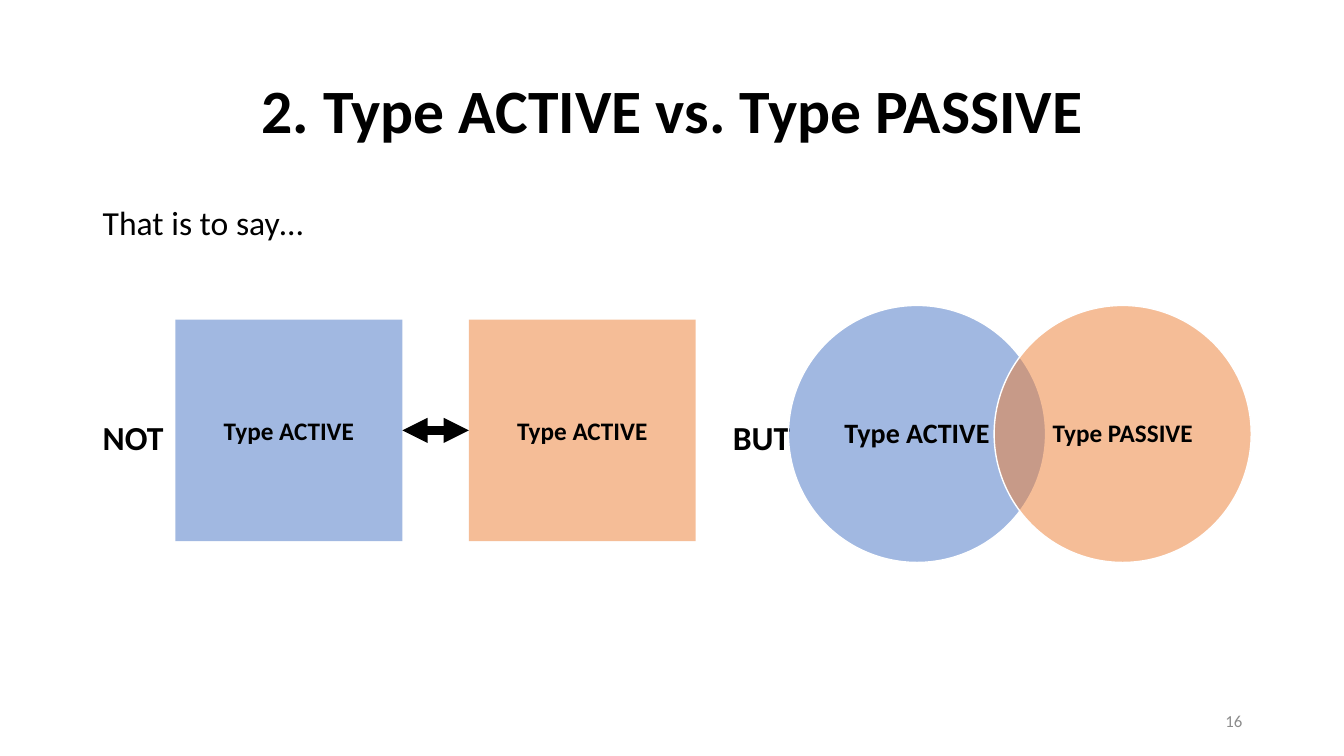
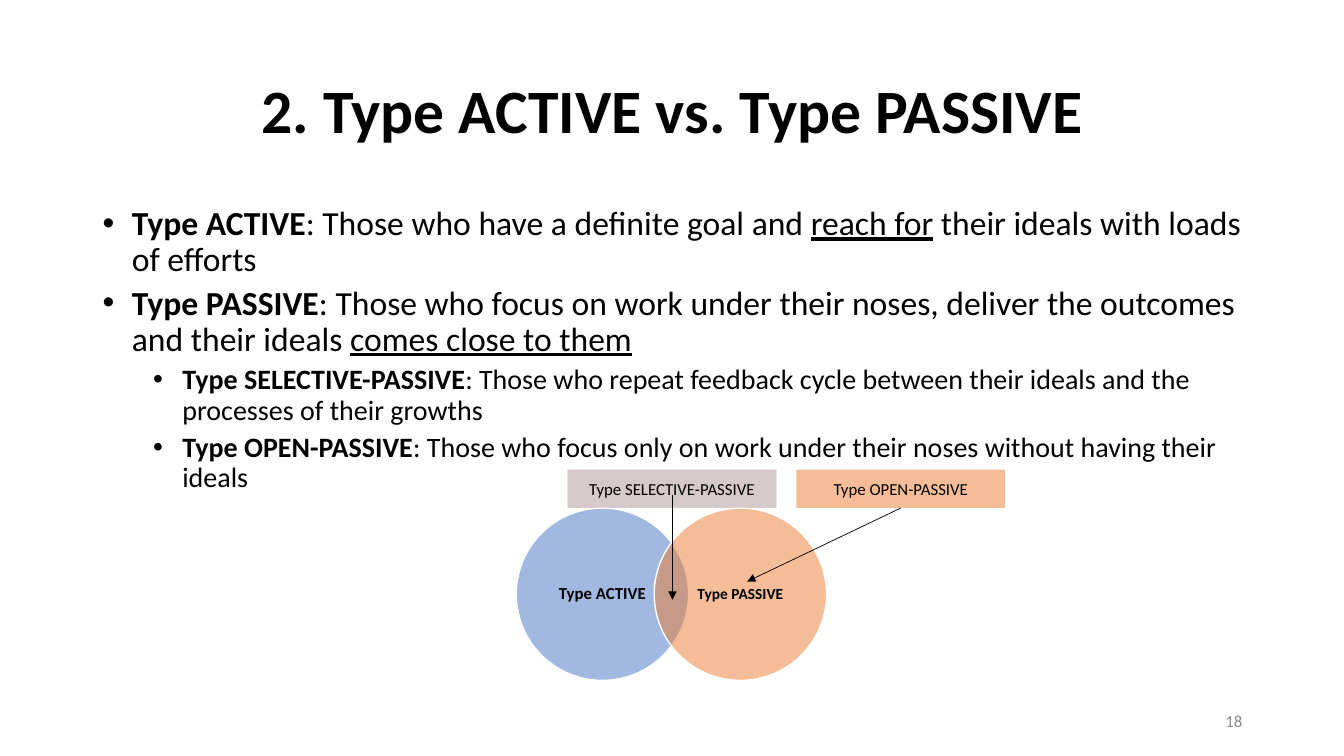
"""Build two slides that contrast the active and passive types."""
from lxml import etree
from pptx import Presentation
from pptx.dml.color import RGBColor
from pptx.enum.shapes import MSO_CONNECTOR, MSO_SHAPE
from pptx.enum.text import MSO_ANCHOR, PP_ALIGN
from pptx.oxml.ns import qn
from pptx.util import Inches, Pt

BLACK = RGBColor(0x00, 0x00, 0x00)
WHITE = RGBColor(0xFF, 0xFF, 0xFF)
GRAY = RGBColor(0x8C, 0x8C, 0x8C)
BLUE = RGBColor(0x44, 0x72, 0xC4)
ORANGE = RGBColor(0xED, 0x7D, 0x31)
LIGHT_BLUE = RGBColor(0xB4, 0xC7, 0xE7)
PEACH = RGBColor(0xF8, 0xCB, 0xAD)

FONT = "Calibri"
TITLE = "2. Type ACTIVE vs. Type PASSIVE"
RECTANGLE = MSO_SHAPE.RECTANGLE
OVAL = MSO_SHAPE.OVAL
STRAIGHT = MSO_CONNECTOR.STRAIGHT
LEFT, CENTER, RIGHT = PP_ALIGN.LEFT, PP_ALIGN.CENTER, PP_ALIGN.RIGHT
TOP, MIDDLE = MSO_ANCHOR.TOP, MSO_ANCHOR.MIDDLE
LEFT_SIDE, BOTTOM_SIDE, RIGHT_SIDE = 1, 2, 3

MARGIN = 0.92
CONTENT_WIDTH = 11.5
LINE_SPACING = 0.9
HANGING = 0.29


def write_text(paragraph, text, size=24, color=BLACK, bold=False,
               underline=False, align=LEFT, spacing=None):
    paragraph.alignment = align
    if spacing:
        paragraph.line_spacing = spacing
    run = paragraph.add_run()
    run.text = text
    run.font.name = FONT
    run.font.size = Pt(size)
    run.font.bold = bold
    run.font.underline = underline
    run.font.color.rgb = color


class Deck:
    def __init__(self):
        self.presentation = Presentation()
        self.presentation.slide_width = Inches(13.33)
        self.presentation.slide_height = Inches(7.5)
        self.slide = None

    def add_slide(self, title, number):
        layout = self.presentation.slide_layouts[6]
        self.slide = self.presentation.slides.add_slide(layout)
        self.add_text(MARGIN, 0.4, CONTENT_WIDTH, 1.45, title, anchor=MIDDLE,
                      size=44, bold=True, align=CENTER, spacing=LINE_SPACING)
        self.add_text(9.42, 6.95, 3, 0.4, number, anchor=MIDDLE,
                      size=12, color=GRAY, align=RIGHT)

    def add_box(self, left, top, width, height, anchor=TOP):
        box = self.slide.shapes.add_textbox(
            Inches(left), Inches(top), Inches(width), Inches(height))
        box.text_frame.word_wrap = True
        box.text_frame.vertical_anchor = anchor
        return box.text_frame

    def add_text(self, left, top, width, height, text, anchor=TOP, **style):
        frame = self.add_box(left, top, width, height, anchor)
        write_text(frame.paragraphs[0], text, **style)

    def add_bullets(self, left, top, width, height, items):
        frame = self.add_box(left, top, width, height)
        for index, (indent, size, runs) in enumerate(items):
            paragraph = frame.add_paragraph() if index else frame.paragraphs[0]
            paragraph.line_spacing = LINE_SPACING
            paragraph.space_before = Pt(5 if index else 0)
            properties = paragraph._p.get_or_add_pPr()
            properties.set("marL", str(Inches(indent)))
            properties.set("indent", str(-Inches(HANGING)))
            etree.SubElement(properties, qn("a:buFont"), typeface="Arial")
            etree.SubElement(properties, qn("a:buChar"), char="•")
            for text, style in runs:
                write_text(paragraph, text, size=size, **style)

    def add_shape(self, kind, left, top, width, height, fill, text="",
                  alpha=50, outline=None, **style):
        shape = self.slide.shapes.add_shape(
            kind, Inches(left), Inches(top), Inches(width), Inches(height))
        shape.shadow.inherit = False
        shape.fill.solid()
        shape.fill.fore_color.rgb = fill
        color = shape._element.spPr.find(qn("a:solidFill"))[0]
        etree.SubElement(color, qn("a:alpha"), val=str(alpha * 1000))
        if outline is None:
            shape.line.fill.background()
        else:
            shape.line.color.rgb = outline
            shape.line.width = Pt(1)
        if text:
            frame = shape.text_frame
            frame.word_wrap = True
            frame.vertical_anchor = MIDDLE
            frame.margin_left = frame.margin_right = 0
            write_text(frame.paragraphs[0], text, align=CENTER, **style)
        return shape

    def add_venn(self, left, top, diameter, active_size, passive_size):
        circles = (("Type ACTIVE", BLUE, active_size),
                   ("Type PASSIVE", ORANGE, passive_size))
        for index, (text, fill, size) in enumerate(circles):
            self.add_shape(OVAL, left + index * 0.8 * diameter, top,
                           diameter, diameter, fill, text, outline=WHITE,
                           size=size, bold=True, spacing=LINE_SPACING)

    def add_arrow(self, start, end, width, ends=("tailEnd",)):
        connector = self.slide.shapes.add_connector(
            STRAIGHT, *(Inches(value) for value in (*start, *end)))
        connector.line.color.rgb = BLACK
        connector.line.width = Pt(width)
        properties = connector._element.spPr
        line = properties.find(qn("a:ln"))
        for name in ends:
            etree.SubElement(line, qn("a:" + name), type="triangle")
        etree.SubElement(properties, qn("a:effectLst"))
        return connector


def build_comparison(deck):
    deck.add_slide(TITLE, "16")
    deck.add_text(MARGIN, 2, CONTENT_WIDTH, 0.5, "That is to say…",
                  spacing=LINE_SPACING)
    for left, word in ((MARGIN, "NOT"), (7.17, "BUT")):
        deck.add_text(left, 4.11, 0.9, 0.5, word, anchor=MIDDLE, bold=True,
                      spacing=LINE_SPACING)
    deck.add_venn(7.82, 3.03, 2.55, 20, 18)
    blue_square, orange_square = [
        deck.add_shape(RECTANGLE, left, 3.17, 2.25, 2.2, fill, "Type ACTIVE",
                       size=18, bold=True)
        for left, fill in ((1.74, BLUE), (4.65, ORANGE))]
    arrow = deck.add_arrow((3.99, 4.27), (4.65, 4.27), 6,
                           ("headEnd", "tailEnd"))
    arrow.begin_connect(blue_square, RIGHT_SIDE)
    arrow.end_connect(orange_square, LEFT_SIDE)


def build_definitions(deck):
    bold, plain, underlined = {"bold": True}, {}, {"underline": True}
    deck.add_slide(TITLE, "18")
    deck.add_bullets(MARGIN, 2, CONTENT_WIDTH, 4.76, (
        (0.29, 24, (
            ("Type ACTIVE", bold),
            (": Those who have a definite goal and ", plain),
            ("reach for", underlined),
            (" their ideals with loads of efforts", plain))),
        (0.29, 24, (
            ("Type PASSIVE", bold),
            (": Those who focus on work under their noses, deliver the "
             "outcomes and their ideals ", plain),
            ("comes close to them", underlined))),
        (0.79, 20, (
            ("Type SELECTIVE-PASSIVE", bold),
            (": Those who repeat feedback cycle between their ideals and the "
             "processes of their growths", plain))),
        (0.79, 20, (
            ("Type OPEN-PASSIVE", bold),
            (": Those who focus only on work under their noses without "
             "having their ideals", plain)))))
    label_top, label_width, label_height = 4.66, 2.07, 0.38
    deck.add_shape(RECTANGLE, 5.63, label_top, label_width, label_height,
                   LIGHT_BLUE, alpha=100)
    deck.add_venn(5.12, 5.04, 1.71, 12, 11)
    _, open_label = [
        deck.add_shape(RECTANGLE, left, label_top, label_width, label_height,
                       fill, text, size=12)
        for left, fill, text in ((5.63, PEACH, "Type SELECTIVE-PASSIVE"),
                                 (7.9, ORANGE, "Type OPEN-PASSIVE"))]
    deck.add_arrow((6.67, 4.91), (6.67, 5.95), 0.5)
    open_arrow = deck.add_arrow((8.93, 5.04), (7.41, 5.77), 0.5)
    open_arrow.begin_connect(open_label, BOTTOM_SIDE)


def main():
    deck = Deck()
    build_comparison(deck)
    build_definitions(deck)
    deck.presentation.save("out.pptx")


if __name__ == "__main__":
    main()
